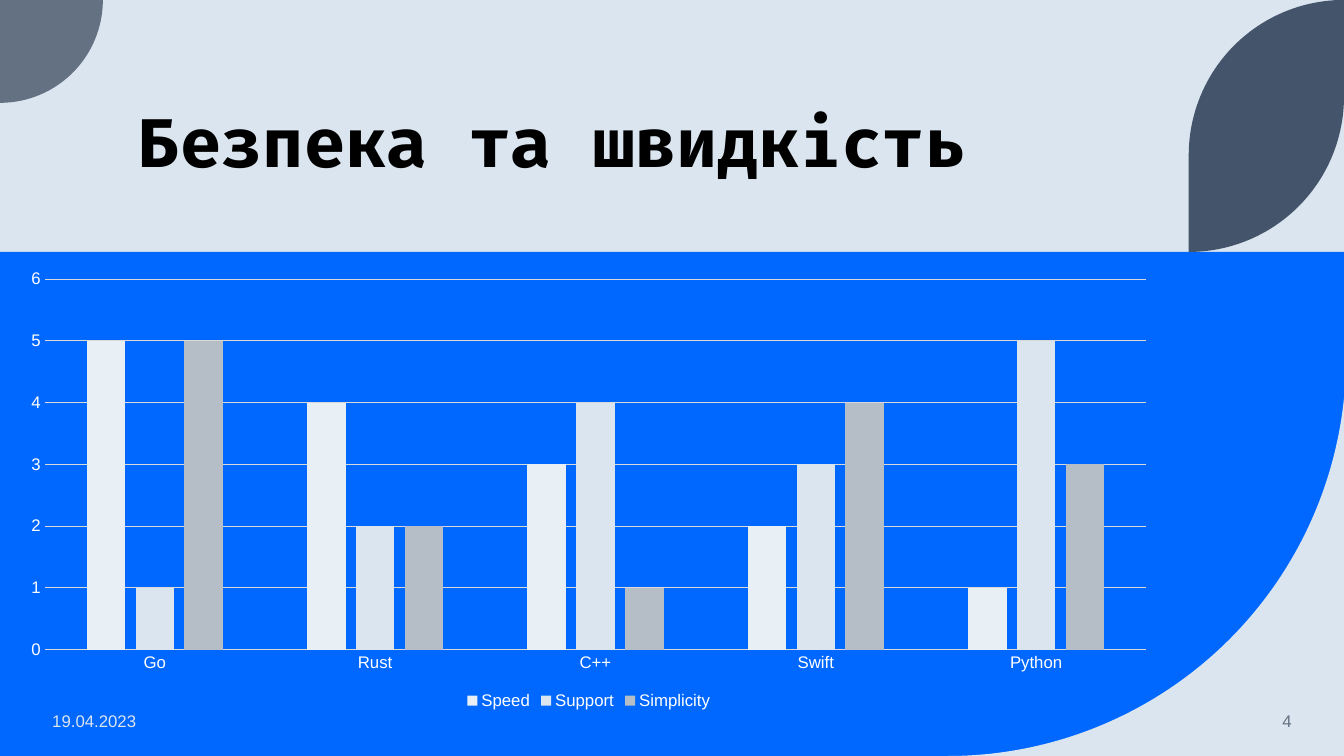
from lxml.etree import SubElement
from pptx import Presentation
from pptx.chart.data import CategoryChartData
from pptx.dml.color import RGBColor
from pptx.enum.chart import XL_CHART_TYPE, XL_LEGEND_POSITION, XL_TICK_MARK
from pptx.enum.shapes import MSO_SHAPE
from pptx.enum.text import MSO_ANCHOR, PP_ALIGN
from pptx.oxml.ns import qn
from pptx.util import Inches, Pt

PALE, BLUE, GREY, SLATE = "DAE5EF", "0068FF", "637183", "44546A"
WHITE, BLACK, RULE = "FFFFFF", "000000", "D9D9D9"


def color(code):
    return RGBColor.from_string(code)


class SlideBuilder:
    """Draws styled elements on the current slide."""

    body_font = "Arial"
    title_font = "Fira Code"
    small = 12

    def __init__(self, slide):
        self.slide = slide

    def background(self, fill):
        self.slide.background.fill.solid()
        self.slide.background.fill.fore_color.rgb = color(fill)

    def paint(self, shape, fill):
        shape.shadow.inherit = False
        shape.fill.solid()
        shape.fill.fore_color.rgb = color(fill)
        shape.line.fill.background()

    def rectangle(self, left, top, width, height, fill):
        band = self.slide.shapes.add_shape(
            MSO_SHAPE.RECTANGLE, Inches(left), Inches(top), Inches(width), Inches(height))
        self.paint(band, fill)

    def petal(self, corners, radius, arcs, fill):
        """Draw corners joined by lines, with quarter arcs where arcs gives a start angle."""
        points = [(Inches(x), Inches(y)) for x, y in corners]
        builder = self.slide.shapes.build_freeform(*points[0])
        builder.add_line_segments(points[1:], close=True)
        leaf = builder.convert_to_shape()
        sides = list(leaf._element.iter(qn("a:lnTo")))
        for side, start in arcs.items():
            segment = sides[side]
            arc = SubElement(segment.getparent(), qn("a:arcTo"))
            for key, value in (("wR", Inches(radius)), ("hR", Inches(radius)),
                               ("stAng", start * 60000), ("swAng", 90 * 60000)):
                arc.set(key, str(value))
            segment.getparent().replace(segment, arc)
        self.paint(leaf, fill)

    def style_font(self, font, size, ink, name=body_font, bold=False):
        font.name = name
        font.size = Pt(size)
        font.bold = bold
        font.color.rgb = color(ink)

    def text(self, words, left, top, width, height, ink, size=small, name=body_font,
             bold=False, anchor=MSO_ANCHOR.MIDDLE, align=PP_ALIGN.LEFT, spacing=1.0):
        box = self.slide.shapes.add_textbox(
            Inches(left), Inches(top), Inches(width), Inches(height))
        frame = box.text_frame
        frame.word_wrap = True
        frame.vertical_anchor = anchor
        frame.text = words
        paragraph = frame.paragraphs[0]
        paragraph.alignment = align
        paragraph.line_spacing = spacing
        self.style_font(paragraph.runs[0].font, size, ink, name, bold)

    def column_chart(self, left, top, width, height, categories, series):
        ratings = CategoryChartData()
        ratings.categories = categories
        for name, values, _ in series:
            ratings.add_series(name, values)
        chart = self.slide.shapes.add_chart(
            XL_CHART_TYPE.COLUMN_CLUSTERED, Inches(left), Inches(top),
            Inches(width), Inches(height), ratings).chart
        self.style_font(chart.font, 10, WHITE)
        chart.has_title = False

        plot = chart.plots[0]
        plot.gap_width = 219
        plot.overlap = -27
        plot.vary_by_categories = False
        for columns, (_, _, fill) in zip(plot.series, series):
            columns.format.fill.solid()
            columns.format.fill.fore_color.rgb = color(fill)

        for axis in (chart.category_axis, chart.value_axis):
            axis.major_tick_mark = XL_TICK_MARK.NONE
            axis.minor_tick_mark = XL_TICK_MARK.NONE
            self.style_font(axis.tick_labels.font, self.small, WHITE)
        scale = chart.value_axis
        scale.minimum_scale, scale.maximum_scale, scale.major_unit = 0, 6, 1
        scale.has_major_gridlines = True
        scale.format.line.fill.background()
        for rule in (chart.category_axis.format.line, scale.major_gridlines.format.line):
            rule.color.rgb = color(RULE)
            rule.width = Pt(0.75)

        chart.has_legend = True
        chart.legend.position = XL_LEGEND_POSITION.BOTTOM
        chart.legend.include_in_layout = False
        self.style_font(chart.legend.font, self.small, WHITE)


def main():
    deck = Presentation()
    deck.slide_width, deck.slide_height = Inches(13.33), Inches(7.5)
    page = SlideBuilder(deck.slides.add_slide(deck.slide_layouts[6]))

    page.background(PALE)
    page.rectangle(0, 2.5, 13.35, 5, BLUE)
    page.petal([(13.35, 3.55), (9.4, 7.5), (13.35, 7.5)], 3.95, {0: 0}, PALE)
    page.petal([(0, 0), (1.02, 0), (0, 1.02)], 1.02, {1: 0}, GREY)
    page.petal([(13.33, 0), (13.33, 0.96), (11.79, 2.5), (11.79, 1.54), (13.33, 0)],
               1.54, {1: 0, 3: 180}, SLATE)

    page.text("Безпека та швидкість", 1.28, 0.41, 10.69, 1.45, BLACK, size=48,
              name=page.title_font, bold=True, anchor=MSO_ANCHOR.BOTTOM, spacing=0.9)
    page.text("19.04.2023", 0.42, 6.95, 3, 0.4, PALE)
    page.text("4", 11.16, 6.95, 1.75, 0.4, GREY, align=PP_ALIGN.RIGHT)

    page.column_chart(
        0.08, 2.59, 11.52, 4.49,
        ["Go", "Rust", "C++", "Swift", "Python"],
        [("Speed", (5, 4, 3, 2, 1), "E8EFF5"),
         ("Support", (1, 2, 4, 3, 5), "DAE5EF"),
         ("Simplicity", (5, 2, 1, 4, 3), "B5BEC6")])

    deck.save("out.pptx")


if __name__ == "__main__":
    main()
